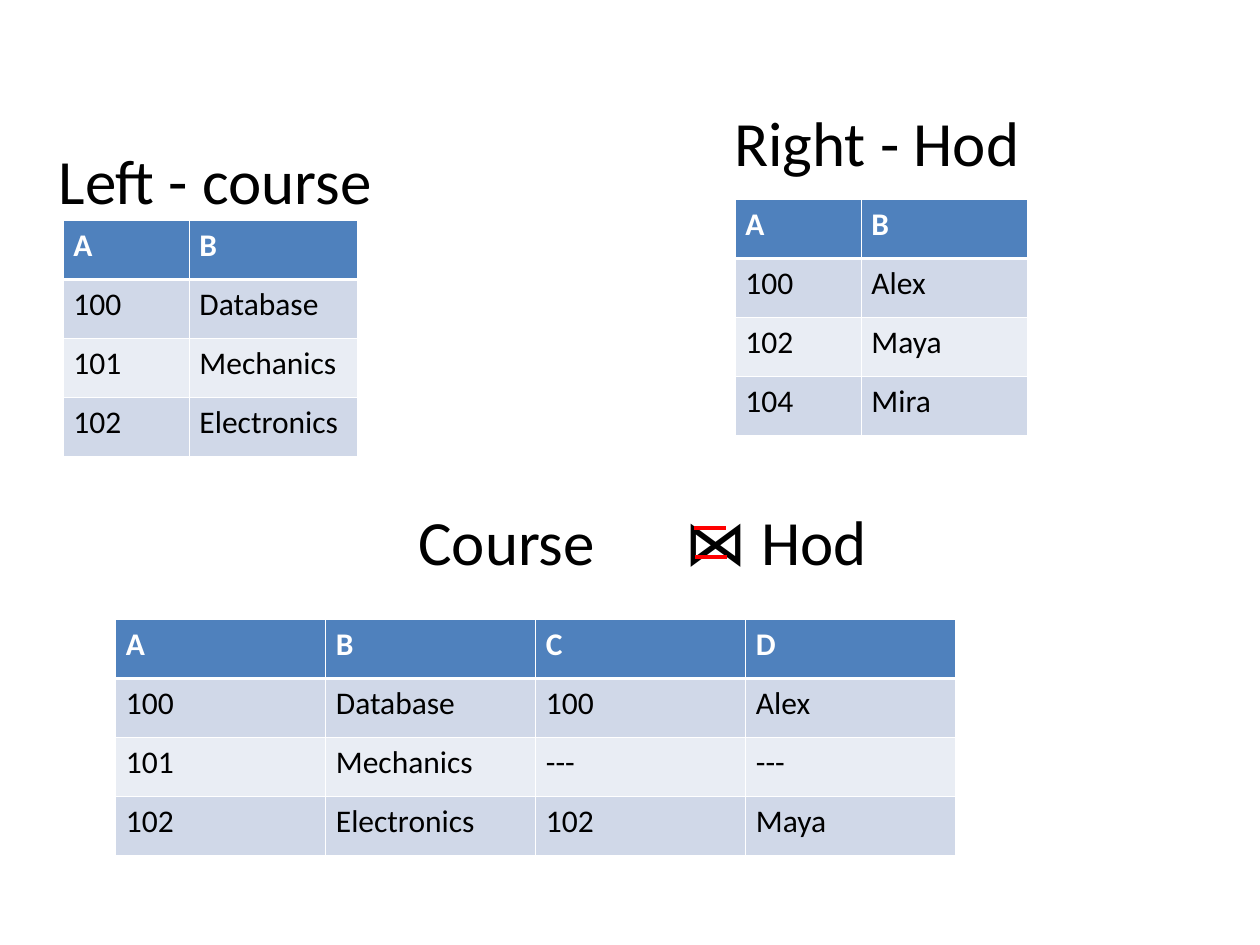
from lxml import etree
from pptx import Presentation
from pptx.dml.color import RGBColor
from pptx.enum import shapes, text
from pptx.oxml import ns
from pptx.util import Pt

THEME = {
    "font": "Calibri", "heading": 36, "cell": 18,
    "black": "000000", "white": "FFFFFF", "red": "FF0000",
    "header": "4F81BD", "bands": ("D0D8E8", "E9EDF4"),
    "grid": 0.45, "header_rule": 1.47, "mark": 2,
}
SLIDE = (720, 540)
ROW_HEIGHT = 33.66

TITLE = ("Left - course", (24, 57.6, 198, 90))
RIGHT_HEADING = ("Right - Hod", (390, 36, 222, 90))
JOIN_HEADING = ("Course\t⋈ Hod", (228, 264, 312, 90))
JOIN_INSET, JOIN_TAB = 11, 152

COURSE = {"at": (36, 126), "cols": (72, 96),
          "rows": (("A", "B"), ("100", "Database"), ("101", "Mechanics"),
                   ("102", "Electronics"))}
HOD = {"at": (420, 114), "cols": (72, 95),
       "rows": (("A", "B"), ("100", "Alex"), ("102", "Maya"), ("104", "Mira"))}
JOINED = {"at": (66, 354), "cols": (120,) * 4,
          "rows": (("A", "B", "C", "D"), ("100", "Database", "100", "Alex"),
                   ("101", "Mechanics", "---", "---"),
                   ("102", "Electronics", "102", "Maya"))}
JOIN_MARKS = ((414.7, 396.7, 301.7), (415.4, 397.4, 318.2))


def color(name):
    return RGBColor.from_string(name)


def style_text(p, size, ink, bold=False):
    for r in p.runs:
        r.font.name = THEME["font"]
        r.font.size = Pt(size)
        r.font.bold = bold
        r.font.color.rgb = color(ink)


def fill_heading(sp, words, box):
    sp.left, sp.top, sp.width, sp.height = map(Pt, box)
    tf = sp.text_frame
    tf.text = words
    tf.word_wrap = True
    tf.auto_size = text.MSO_AUTO_SIZE.NONE
    tf.vertical_anchor = text.MSO_ANCHOR.MIDDLE
    p = tf.paragraphs[0]
    p.alignment = text.PP_ALIGN.CENTER
    style_text(p, THEME["heading"], THEME["black"])
    return tf


def add_heading(s, words, box):
    return fill_heading(s.shapes.add_textbox(*map(Pt, box)), words, box)


def set_borders(cell, row):
    tc_pr = cell._tc.get_or_add_tcPr()
    widths = {"lnL": THEME["grid"], "lnR": THEME["grid"],
              "lnT": THEME["header_rule" if row == 1 else "grid"],
              "lnB": THEME["header_rule" if row == 0 else "grid"]}
    for i, (side, width) in enumerate(widths.items()):
        ln = etree.Element(ns.qn("a:" + side), w=str(int(Pt(width))))
        fill = etree.SubElement(ln, ns.qn("a:solidFill"))
        etree.SubElement(fill, ns.qn("a:srgbClr"), val=THEME["white"])
        tc_pr.insert(i, ln)


def add_table(s, data):
    rows, cols = data["rows"], data["cols"]
    size = (sum(cols), ROW_HEIGHT * len(rows))
    table = s.shapes.add_table(len(rows), len(cols), *map(Pt, data["at"] + size)).table
    for column, width in zip(table.columns, cols):
        column.width = Pt(width)
    for i, values in enumerate(rows):
        table.rows[i].height = Pt(ROW_HEIGHT)
        header = i == 0
        back = THEME["header"] if header else THEME["bands"][(i - 1) % 2]
        ink = THEME["white" if header else "black"]
        for j, value in enumerate(values):
            cell = table.cell(i, j)
            cell.text = value
            cell.margin_left = cell.margin_right = Pt(6)
            cell.margin_top = cell.margin_bottom = Pt(3.6)
            cell.fill.solid()
            cell.fill.fore_color.rgb = color(back)
            set_borders(cell, i)
            style_text(cell.text_frame.paragraphs[0], THEME["cell"], ink, header)


def add_join_heading(s):
    tf = add_heading(s, *JOIN_HEADING)
    tf.margin_left = Pt(JOIN_INSET)
    p = tf.paragraphs[0]
    p.alignment = text.PP_ALIGN.LEFT
    tabs = etree.SubElement(p._p.get_or_add_pPr(), ns.qn("a:tabLst"))
    etree.SubElement(tabs, ns.qn("a:tab"), pos=str(int(Pt(JOIN_TAB))), algn="l")


def add_mark(s, x1, x2, y):
    line = s.shapes.add_connector(shapes.MSO_CONNECTOR.STRAIGHT, *map(Pt, (x1, y, x2, y)))
    line.line.color.rgb = color(THEME["red"])
    line.line.width = Pt(THEME["mark"])
    etree.SubElement(line._element.spPr, ns.qn("a:effectLst"))


def main():
    prs = Presentation()
    prs.slide_width, prs.slide_height = map(Pt, SLIDE)
    s = prs.slides.add_slide(prs.slide_layouts[5])
    fill_heading(s.shapes.title, *TITLE)
    add_table(s, COURSE)
    add_table(s, HOD)
    add_heading(s, *RIGHT_HEADING)
    add_table(s, JOINED)
    add_join_heading(s)
    for mark in JOIN_MARKS:
        add_mark(s, *mark)
    prs.save("out.pptx")


if __name__ == "__main__":
    main()
